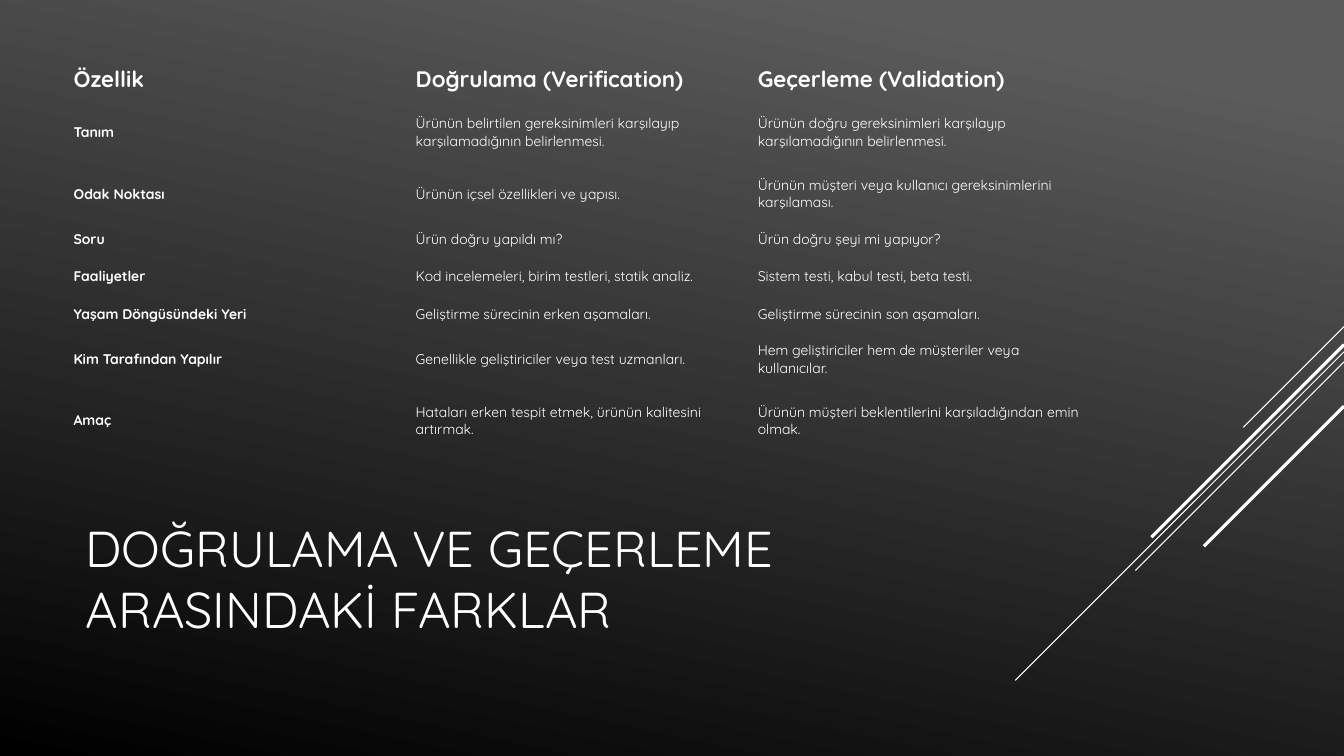
from pptx import Presentation
from pptx.dml.color import RGBColor
from pptx.enum.shapes import MSO_CONNECTOR
from pptx.enum.text import MSO_ANCHOR, MSO_AUTO_SIZE, PP_ALIGN
from pptx.oxml.ns import qn
from pptx.util import Inches, Pt
from lxml import etree

STRAIGHT = MSO_CONNECTOR.STRAIGHT
MIDDLE = MSO_ANCHOR.MIDDLE
LEFT = PP_ALIGN.LEFT
WHITE = RGBColor(0xFF, 0xFF, 0xFF)
GREY = RGBColor(0x5B, 0x5B, 0x5B)
BLACK = RGBColor(0x00, 0x00, 0x00)
FONT = "Quicksand"
NO_STYLE_NO_GRID = "{2D5ABB26-0587-4C30-8999-92F81FD0307C}"
SLIDE_WIDTH = 13.33


def write_text(text_frame, text, size, bold=False):
    paragraph = text_frame.paragraphs[0]
    paragraph.alignment = LEFT
    run = paragraph.add_run()
    run.text = text
    run.font.name = FONT
    run.font.size = Pt(size)
    run.font.bold = bold
    run.font.color.rgb = WHITE


presentation = Presentation()
presentation.slide_width = Inches(SLIDE_WIDTH)
presentation.slide_height = Inches(7.5)
slide = presentation.slides.add_slide(presentation.slide_layouts[5])

# Background gradient
background = slide.background.fill
background.gradient()
background.gradient_angle = 360 - 102
for stop, position, color in zip(background.gradient_stops, (0.1, 1), (GREY, BLACK)):
    stop.position = position
    stop.color.rgb = color

# Diagonal lines at 45 degrees from the right edge: top, extent, weight
for top, extent, weight in (
    (3.24, 1.0, 0.75),
    (3.49, 3.26, 0.75),
    (3.59, 2.07, 0.75),
    (3.42, 1.91, 2.25),
    (4.03, 1.39, 2.25),
):
    diagonal = slide.shapes.add_connector(
        STRAIGHT, Inches(SLIDE_WIDTH), Inches(top),
        Inches(SLIDE_WIDTH - extent), Inches(top + extent))
    diagonal.line.color.rgb = WHITE
    diagonal.line.width = Pt(weight)
    etree.SubElement(diagonal.line._get_or_add_ln().getparent(), qn("a:effectLst"))

# Title
title = slide.shapes.title
title.left, title.top = Inches(0.75), Inches(4.91)
title.width, title.height = Inches(9.33), Inches(1.65)
title.text_frame.word_wrap = True
title.text_frame.auto_size = MSO_AUTO_SIZE.NONE
title.text_frame.vertical_anchor = MIDDLE
write_text(title.text_frame, "DOĞRULAMA VE GEÇERLEME ARASINDAKİ FARKLAR", 36)

# Comparison table: row height, then the three cells
rows = [
    (0.37, "Özellik", "Doğrulama (Verification)", "Geçerleme (Validation)"),
    (0.69, "Tanım",
     "Ürünün belirtilen gereksinimleri karşılayıp karşılamadığının belirlenmesi.",
     "Ürünün doğru gereksinimleri karşılayıp karşılamadığının belirlenmesi."),
    (0.53, "Odak Noktası", "Ürünün içsel özellikleri ve yapısı.",
     "Ürünün müşteri veya kullanıcı gereksinimlerini karşılaması."),
    (0.37, "Soru", "Ürün doğru yapıldı mı?", "Ürün doğru şeyi mi yapıyor?"),
    (0.37, "Faaliyetler", "Kod incelemeleri, birim testleri, statik analiz.",
     "Sistem testi, kabul testi, beta testi."),
    (0.37, "Yaşam Döngüsündeki Yeri", "Geliştirme sürecinin erken aşamaları.",
     "Geliştirme sürecinin son aşamaları."),
    (0.53, "Kim Tarafından Yapılır", "Genellikle geliştiriciler veya test uzmanları.",
     "Hem geliştiriciler hem de müşteriler veya kullanıcılar."),
    (0.69, "Amaç", "Hataları erken tespit etmek, ürünün kalitesini artırmak.",
     "Ürünün müşteri beklentilerini karşıladığından emin olmak."),
]
table_height = sum(row[0] for row in rows)
table = slide.shapes.add_table(
    len(rows), 3, Inches(0.68), Inches(0.6), Inches(10.18), Inches(table_height)).table
table.first_row = table.horz_banding = False
table._tbl.tblPr.find(qn("a:tableStyleId")).text = NO_STYLE_NO_GRID

for row_index, (height, *texts) in enumerate(rows):
    table.rows[row_index].height = Inches(height)
    for column_index, text in enumerate(texts):
        cell = table.cell(row_index, column_index)
        cell.fill.background()
        cell.vertical_anchor = MIDDLE
        cell.margin_left = cell.margin_right = Inches(0.05)
        cell.margin_top = cell.margin_bottom = Inches(0.03)
        is_header = row_index == 0
        write_text(cell.text_frame, text, 16 if is_header else 10,
                   bold=is_header or column_index == 0)

presentation.save("out.pptx")
